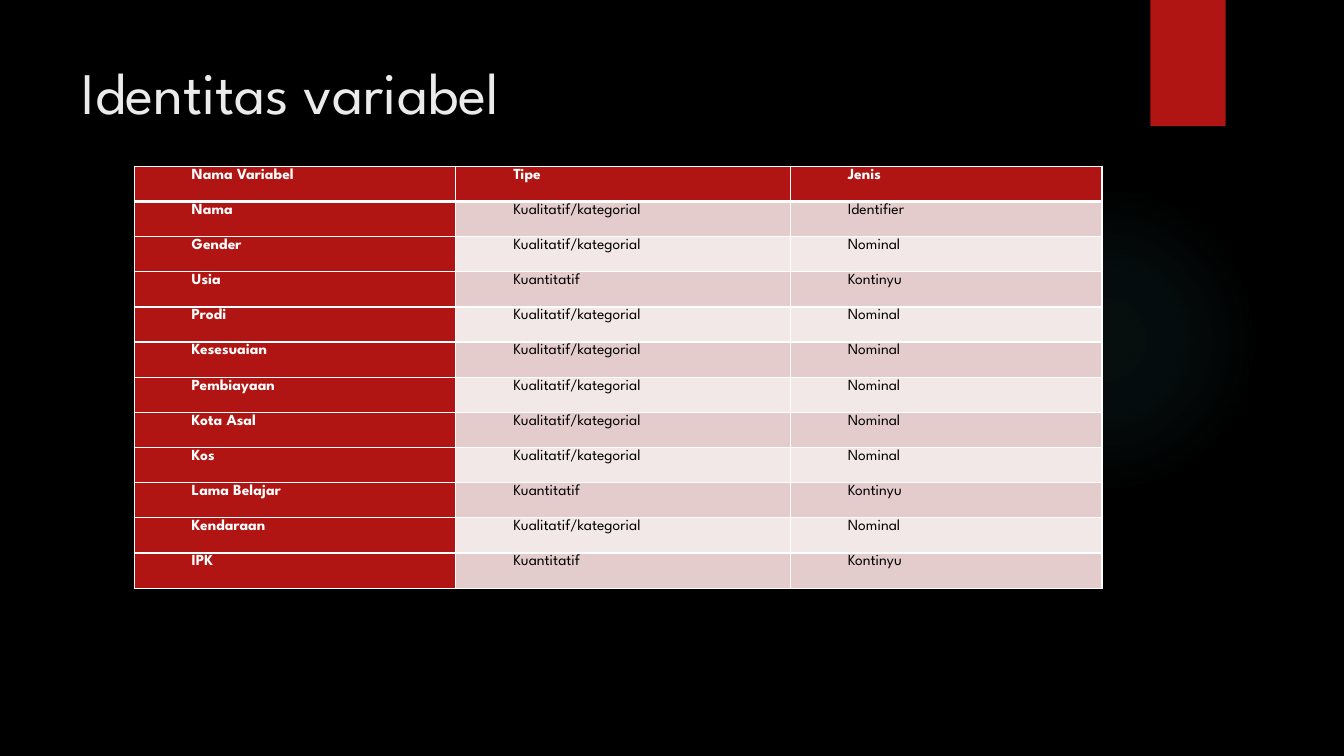
from dataclasses import dataclass
from typing import Any

from lxml import etree
from pptx import Presentation
from pptx.dml.color import RGBColor
from pptx.enum.shapes import MSO_SHAPE
from pptx.enum.text import MSO_ANCHOR, PP_ALIGN
from pptx.oxml import parse_xml
from pptx.oxml.ns import nsdecls, qn
from pptx.util import Cm, Inches, Pt

OVAL, RECTANGLE = MSO_SHAPE.OVAL, MSO_SHAPE.RECTANGLE
TOP, LEFT = MSO_ANCHOR.TOP, PP_ALIGN.LEFT


@dataclass(frozen=True)
class Theme:
    font: str = "League Spartan"
    title_size: float = 42
    cell_size: float = 11
    background: str = "000000"
    title: str = "EBEBEB"
    accent: str = "B01513"
    glow: str = "50B9C1"
    light: str = "FFFFFF"
    dark: str = "000000"
    bands: tuple[str, str] = ("E4CCCC", "F2E8E7")
    thin: float = 1
    thick: float = 3


@dataclass(frozen=True)
class Box:
    left: float
    top: float
    width: float
    height: float

    def lengths(self) -> tuple[Cm, Cm, Cm, Cm]:
        return Cm(self.left), Cm(self.top), Cm(self.width), Cm(self.height)


@dataclass(frozen=True)
class Variable:
    name: str
    kind: str
    scale: str


THEME = Theme()
TITLE_BOX = Box(1.8, 1.27, 26.14, 3.89)
GLOW_BOX = Box(23.9, 4.65, 7.82, 7.82)
RIBBON_BOX = Box(28.98, 0, 1.9, 3.18)
TABLE_BOX = Box(3.38, 4.19, 24.38, 10.64)
COLUMN_WIDTHS = (8.1, 8.43, 7.85)
GLOW_STOPS = ((0, 7), (36, 6), (69, 0))

QUALITATIVE, QUANTITATIVE = "Kualitatif/kategorial", "Kuantitatif"
NOMINAL, CONTINUOUS = "Nominal", "Kontinyu"
ROWS = (
    Variable("Nama Variabel", "Tipe", "Jenis"),
    Variable("Nama", QUALITATIVE, "Identifier"),
    Variable("Gender", QUALITATIVE, NOMINAL),
    Variable("Usia", QUANTITATIVE, CONTINUOUS),
    Variable("Prodi", QUALITATIVE, NOMINAL),
    Variable("Kesesuaian", QUALITATIVE, NOMINAL),
    Variable("Pembiayaan", QUALITATIVE, NOMINAL),
    Variable("Kota Asal", QUALITATIVE, NOMINAL),
    Variable("Kos", QUALITATIVE, NOMINAL),
    Variable("Lama Belajar", QUANTITATIVE, CONTINUOUS),
    Variable("Kendaraan", QUALITATIVE, NOMINAL),
    Variable("IPK", QUANTITATIVE, CONTINUOUS),
)


def apply(target: Any, formats: dict[str, Any]) -> None:
    for name, value in formats.items():
        setattr(target, name, value)


def write(tf: Any, text: str, size: float, color: str, bold: bool) -> Any:
    p = tf.paragraphs[0]
    p.alignment = LEFT
    r = p.add_run()
    r.text = text
    apply(r.font, {"name": THEME.font, "size": Pt(size), "bold": bold})
    r.font.color.rgb = RGBColor.from_string(color)
    return p


def add_title(s: Any, text: str) -> None:
    sp = s.shapes.title
    left, top, width, height = TITLE_BOX.lengths()
    apply(sp, {"left": left, "top": top, "width": width, "height": height})
    apply(sp.text_frame, {"vertical_anchor": TOP, "word_wrap": True})
    write(sp.text_frame, text, THEME.title_size, THEME.title, False)


def add_plain_shape(s: Any, preset: Any, box: Box) -> Any:
    sp = s.shapes.add_shape(preset, *box.lengths())
    sp.shadow.inherit = False
    sp.line.fill.background()
    return sp


def add_glow(s: Any) -> None:
    sp = add_plain_shape(s, OVAL, GLOW_BOX)
    stops = "".join(
        f'<a:gs pos="{position * 1000}"><a:srgbClr val="{THEME.glow}">'
        f'<a:alpha val="{alpha * 1000}"/></a:srgbClr></a:gs>'
        for position, alpha in GLOW_STOPS
    )
    gradient = parse_xml(
        f'<a:gradFill {nsdecls("a")}><a:gsLst>{stops}</a:gsLst><a:path path="circle">'
        '<a:fillToRect l="50000" t="50000" r="50000" b="50000"/></a:path></a:gradFill>'
    )
    sp._element.spPr.find(qn("a:prstGeom")).addnext(gradient)


def add_ribbon(s: Any) -> None:
    sp = add_plain_shape(s, RECTANGLE, RIBBON_BOX)
    sp.fill.solid()
    sp.fill.fore_color.rgb = RGBColor.from_string(THEME.accent)


def add_borders(cell: Any, row: int) -> None:
    tcPr = cell._tc.get_or_add_tcPr()
    widths = {
        "lnL": THEME.thin,
        "lnR": THEME.thin,
        "lnT": THEME.thick if row == 1 else THEME.thin,
        "lnB": THEME.thick if row == 0 else THEME.thin,
    }
    for side, width in widths.items():
        line = etree.SubElement(tcPr, qn(f"a:{side}"), w=str(Pt(width)))
        fill = etree.SubElement(line, qn("a:solidFill"))
        etree.SubElement(fill, qn("a:srgbClr"), val=THEME.light)


def fill_cell(cell: Any, text: str, row: int, column: int) -> None:
    strong = row == 0 or column == 0
    apply(cell, {
        "margin_left": Cm(0.18), "margin_right": Cm(0.18),
        "margin_top": 0, "margin_bottom": 0, "vertical_anchor": TOP,
    })
    color = THEME.light if strong else THEME.dark
    p = write(cell.text_frame, text, THEME.cell_size, color, strong)
    apply(p, {"line_spacing": 1.15, "space_after": Pt(10 if column == 2 else 0)})
    p._p.get_or_add_pPr().set("marL", str(Cm(1.27)))
    add_borders(cell, row)
    cell.fill.solid()
    fill = THEME.accent if strong else THEME.bands[(row - 1) % 2]
    cell.fill.fore_color.rgb = RGBColor.from_string(fill)


def add_variable_table(s: Any) -> None:
    frame = s.shapes.add_table(len(ROWS), len(COLUMN_WIDTHS), *TABLE_BOX.lengths())
    table = frame.table
    apply(table, {"first_row": False, "horz_banding": False})
    for column, width in zip(table.columns, COLUMN_WIDTHS):
        column.width = Cm(width)
    for i, variable in enumerate(ROWS):
        table.rows[i].height = Cm(TABLE_BOX.height / len(ROWS))
        for j, text in enumerate((variable.name, variable.kind, variable.scale)):
            fill_cell(table.cell(i, j), text, i, j)


def main() -> None:
    prs = Presentation()
    apply(prs, {"slide_width": Inches(13.33), "slide_height": Inches(7.5)})
    s = prs.slides.add_slide(prs.slide_layouts[5])
    s.background.fill.solid()
    s.background.fill.fore_color.rgb = RGBColor.from_string(THEME.background)
    add_glow(s)
    add_ribbon(s)
    add_title(s, "Identitas variabel")
    add_variable_table(s)
    prs.save("out.pptx")


if __name__ == "__main__":
    main()
